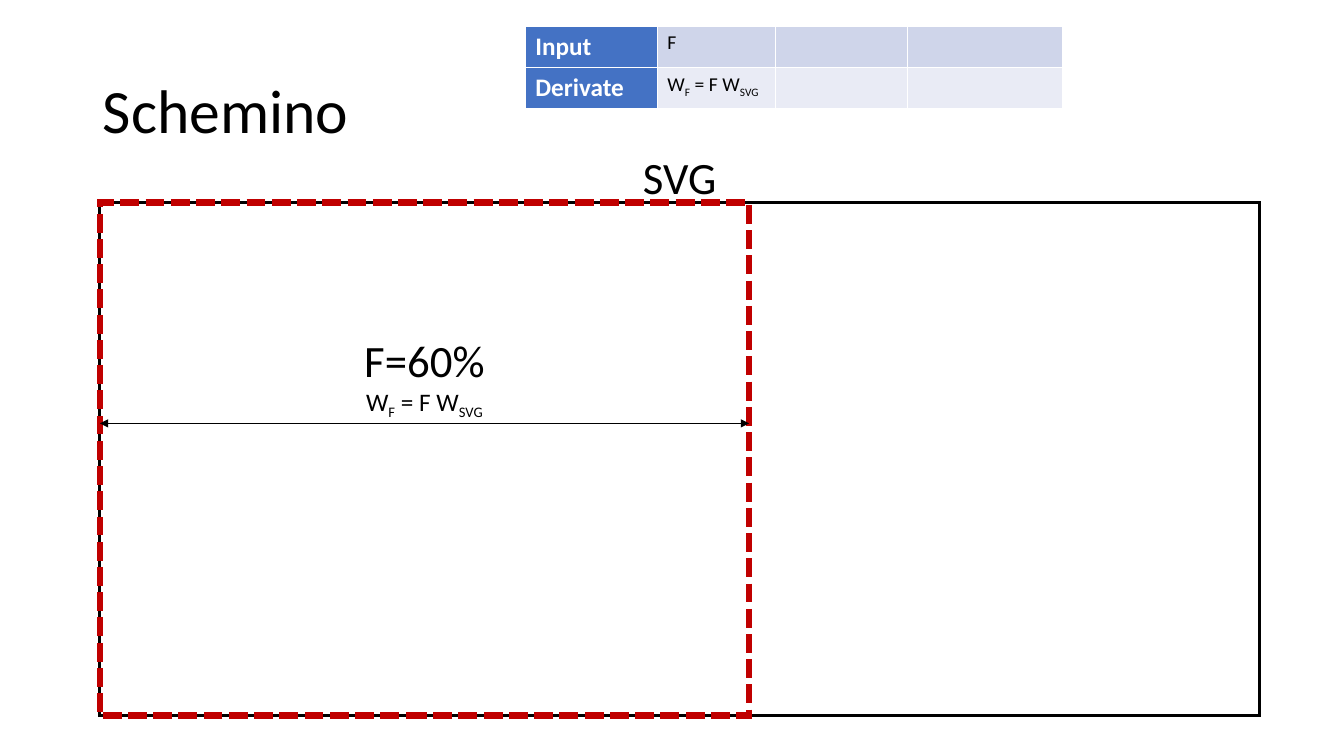
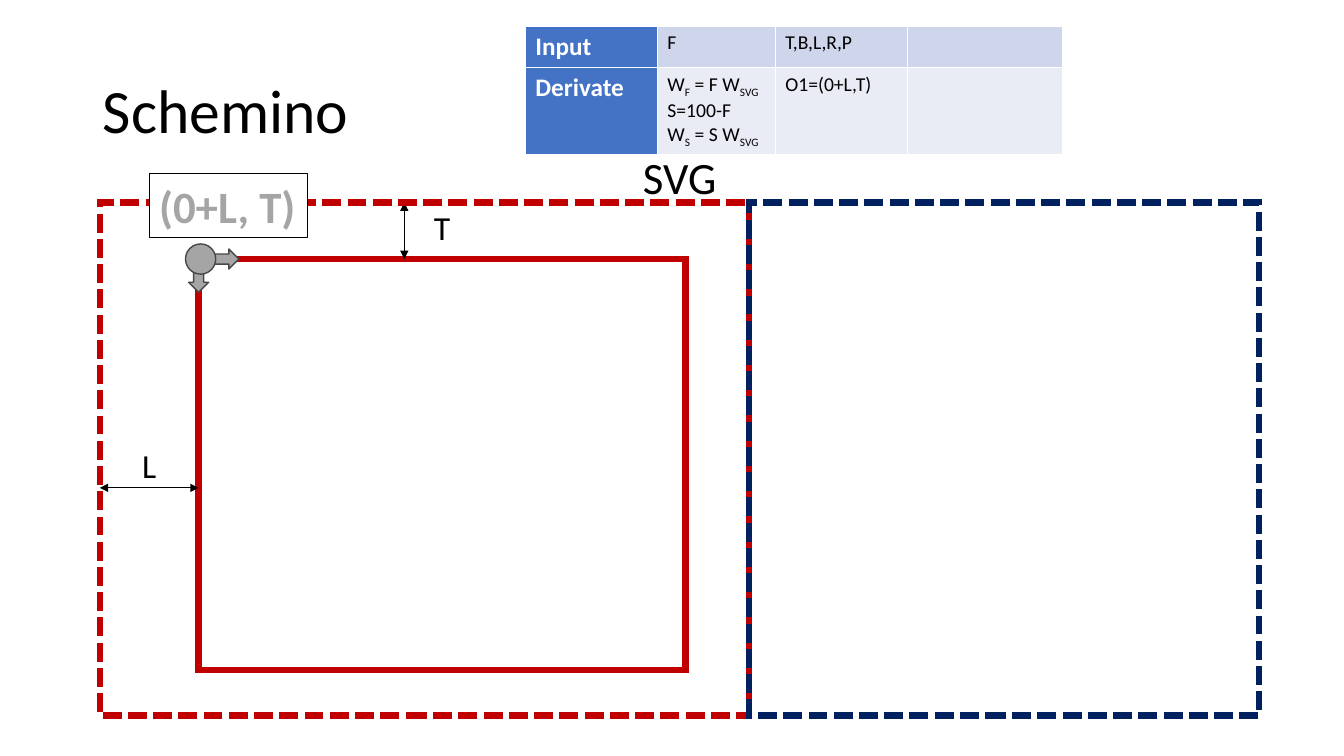
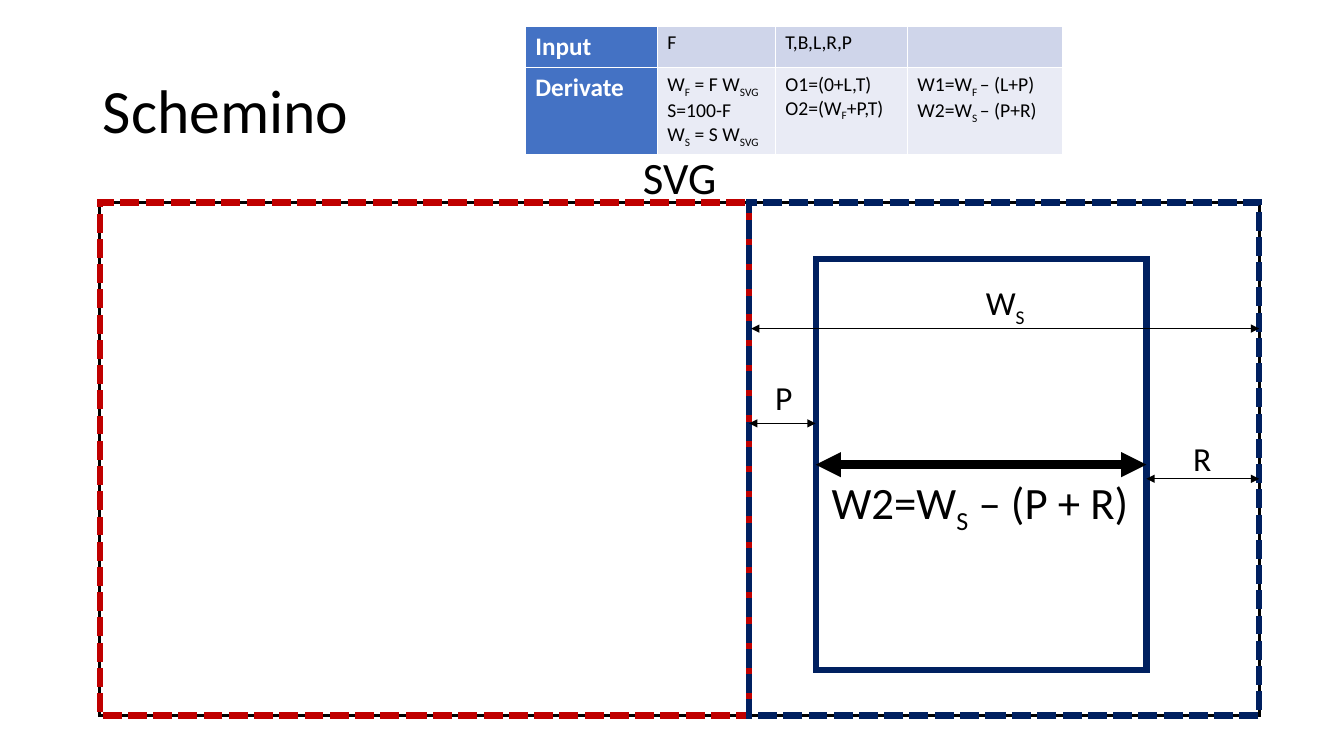
from lxml.etree import SubElement
from pptx import Presentation
from pptx.dml.color import RGBColor
from pptx.enum.dml import MSO_LINE
from pptx.enum.shapes import MSO_CONNECTOR, MSO_SHAPE
from pptx.enum.text import MSO_ANCHOR, MSO_AUTO_SIZE, PP_ALIGN
from pptx.oxml.ns import qn
from pptx.util import Inches, Pt

BLACK = RGBColor(0x00, 0x00, 0x00)
WHITE = RGBColor(0xFF, 0xFF, 0xFF)
RED = RGBColor(0xC0, 0x00, 0x00)
NAVY = RGBColor(0x00, 0x20, 0x60)
GRAY = RGBColor(0xA5, 0xA5, 0xA5)
DARK_GRAY = RGBColor(0x48, 0x48, 0x48)
HEADER_BLUE = RGBColor(0x44, 0x72, 0xC4)
ROW_FILLS = (RGBColor(0xCF, 0xD5, 0xEA), RGBColor(0xE9, 0xEB, 0xF5))

FONT = "Calibri"
TITLE = "Schemino"
LEFT, SPLIT, RIGHT = 0.99, 7.43, 12.49
TOP, HEIGHT = 2.01, 5.09
INNER_TOP, INNER_HEIGHT = 2.57, 4.08
FIRST_LEFT, FIRST_WIDTH = 1.97, 4.83
SECOND_LEFT, SECOND_WIDTH = 8.09, 3.28
SECOND_RIGHT = SECOND_LEFT + SECOND_WIDTH
COLUMN_WIDTHS = (1.31, 1.17, 1.31, 1.54)
ROW_HEIGHT = 0.41

WIDTH_F = "W|F| = F W|SVG|"
WIDTHS = f"{WIDTH_F}\nS=100-F\nW|S| = S W|SVG|"
MARGINS = "T,B,L,R,P"
ORIGIN_1 = "O1=(0+L,T)"
ORIGINS = f"{ORIGIN_1}\nO2=(W|F|+P,T)"
INNER_WIDTHS = "W1=W|F |– (L+P)\nW2=W|S |– (P+R)"


def add_runs(paragraph, text, size, color=BLACK, bold=False):
    """Add text run by run, with the parts between bars as subscripts."""
    for index, part in enumerate(text.split("|")):
        if not part:
            continue
        run = paragraph.add_run()
        run.text = part
        run.font.name = FONT
        run.font.size = Pt(size)
        run.font.bold = bold
        run.font.color.rgb = color
        if index % 2:
            run._r.get_or_add_rPr().set("baseline", "-25000")


def add_lines(frame, lines, color=BLACK, bold=False, align=PP_ALIGN.LEFT):
    """Fill a text frame with one paragraph for each (text, size) pair."""
    for index, (text, size) in enumerate(lines):
        paragraph = frame.add_paragraph() if index else frame.paragraphs[0]
        paragraph.alignment = align
        add_runs(paragraph, text, size, color, bold)


def add_label(slide, left, top, width, height, *lines):
    """Add centred text without a box."""
    box = slide.shapes.add_textbox(Inches(left), Inches(top), Inches(width), Inches(height))
    box.text_frame.word_wrap = True
    add_lines(box.text_frame, lines, align=PP_ALIGN.CENTER)


def add_rectangle(slide, left, top, width, height, color, weight, fill=None, dash=None):
    """Add an outlined rectangle with square corners."""
    shape = slide.shapes.add_shape(
        MSO_SHAPE.RECTANGLE, Inches(left), Inches(top), Inches(width), Inches(height))
    shape.shadow.inherit = False
    if fill is None:
        shape.fill.background()
    else:
        shape.fill.solid()
        shape.fill.fore_color.rgb = fill
    shape.line.color.rgb = color
    shape.line.width = Pt(weight)
    if dash is not None:
        shape.line.dash_style = dash
    SubElement(shape.element.spPr.find(qn("a:ln")), qn("a:miter"), lim="800000")
    return shape


def add_svg_frame(slide):
    """Add the outline of the whole drawing area."""
    add_rectangle(slide, LEFT, TOP, RIGHT - LEFT, HEIGHT, BLACK, 2.25, WHITE)


def add_svg_label(slide):
    """Add the name of the drawing area above it."""
    add_label(slide, LEFT, 1.44, RIGHT - LEFT, 0.64, ("SVG", 32))


def add_first_area(slide):
    """Add the dashed outline of the left area."""
    add_rectangle(slide, LEFT, TOP, SPLIT - LEFT, HEIGHT, RED, 4.5, dash=MSO_LINE.SQUARE_DOT)


def add_second_area(slide):
    """Add the dashed outline of the right area."""
    add_rectangle(slide, SPLIT, TOP, RIGHT - SPLIT, HEIGHT, NAVY, 4.5, dash=MSO_LINE.SQUARE_DOT)


def add_dimension(slide, start, end, weight=0.5):
    """Add a line with an arrowhead at both ends."""
    points = [Inches(value) for value in (*start, *end)]
    connector = slide.shapes.add_connector(MSO_CONNECTOR.STRAIGHT, *points)
    connector.line.color.rgb = BLACK
    connector.line.width = Pt(weight)
    properties = connector.element.spPr
    line = properties.find(qn("a:ln"))
    for tag in ("a:headEnd", "a:tailEnd"):
        SubElement(line, qn(tag), type="triangle")
    SubElement(properties, qn("a:effectLst"))
    return connector


def add_origin_marker(slide):
    """Add the grouped circle and arrows that mark the first origin."""
    group = slide.shapes.add_group_shape()
    parts = (
        (MSO_SHAPE.RIGHT_ARROW, 1.97, 2.47, 0.4, 0.2, 0),
        (MSO_SHAPE.RIGHT_ARROW, 1.77, 2.6, 0.4, 0.2, 90),
        (MSO_SHAPE.OVAL, 1.84, 2.42, 0.3, 0.3, 0),
    )
    for kind, left, top, width, height, rotation in parts:
        shape = group.shapes.add_shape(
            kind, Inches(left), Inches(top), Inches(width), Inches(height))
        shape.rotation = rotation
        shape.shadow.inherit = False
        shape.fill.solid()
        shape.fill.fore_color.rgb = GRAY
        shape.line.color.rgb = DARK_GRAY
        shape.line.width = Pt(1)


def add_origin_label(slide):
    """Add the boxed coordinates of the first origin."""
    box = slide.shapes.add_textbox(Inches(1.48), Inches(1.72), Inches(1.57), Inches(0.64))
    box.text_frame.word_wrap = False
    box.fill.solid()
    box.fill.fore_color.rgb = WHITE
    box.line.color.rgb = BLACK
    box.line.width = Pt(0.75)
    add_lines(box.text_frame, [("(0+L, T)", 32)], GRAY, True)


def format_cell(cell, fill):
    """Give a cell its fill and thin white borders."""
    properties = cell._tc.get_or_add_tcPr()
    for tag in ("a:lnL", "a:lnR", "a:lnT", "a:lnB"):
        border = SubElement(properties, qn(tag), w=str(Pt(1)))
        color = SubElement(SubElement(border, qn("a:solidFill")), qn("a:srgbClr"))
        color.set("val", str(WHITE))
    cell.fill.solid()
    cell.fill.fore_color.rgb = fill


def add_formula_table(slide, inputs, derivates):
    """Add the table of inputs and the values derived from them."""
    rows = (("Input", *inputs), ("Derivate", *derivates))
    table = slide.shapes.add_table(
        len(rows), len(COLUMN_WIDTHS), Inches(5.21), Inches(0.26),
        Inches(sum(COLUMN_WIDTHS)), Inches(ROW_HEIGHT * len(rows))).table
    table.first_row = False
    table.horz_banding = False
    for column, width in zip(table.columns, COLUMN_WIDTHS):
        column.width = Inches(width)
    for row, texts, row_fill in zip(table.rows, rows, ROW_FILLS):
        row.height = Inches(ROW_HEIGHT)
        for index, (cell, text) in enumerate(zip(row.cells, texts)):
            is_header = index == 0
            format_cell(cell, HEADER_BLUE if is_header else row_fill)
            size, color = (18, WHITE) if is_header else (14, BLACK)
            lines = [(line, size) for line in text.split("\n")]
            add_lines(cell.text_frame, lines, color, is_header)


def add_titled_slide(presentation):
    """Add a slide with the shared title."""
    slide = presentation.slides.add_slide(presentation.slide_layouts[5])
    title = slide.shapes.title
    title.left, title.top = Inches(0.92), Inches(0.4)
    title.width, title.height = Inches(11.5), Inches(1.45)
    frame = title.text_frame
    frame.auto_size = MSO_AUTO_SIZE.NONE
    frame.vertical_anchor = MSO_ANCHOR.MIDDLE
    add_lines(frame, [(TITLE, 44)])
    frame.paragraphs[0].line_spacing = 0.9
    return slide


def build_fraction_slide(presentation):
    """Show the fraction taken by the left area."""
    slide = add_titled_slide(presentation)
    add_svg_frame(slide)
    add_svg_label(slide)
    add_label(slide, LEFT, 3.25, SPLIT - LEFT, 0.94, ("F=60%", 32), (WIDTH_F, 18))
    add_first_area(slide)
    add_dimension(slide, (LEFT, 4.2), (SPLIT, 4.2))
    add_formula_table(slide, ("F", "", ""), (WIDTH_F, "", ""))


def build_origin_slide(presentation):
    """Show the origin of the left inner rectangle."""
    slide = add_titled_slide(presentation)
    add_svg_label(slide)
    add_rectangle(slide, FIRST_LEFT, INNER_TOP, FIRST_WIDTH, INNER_HEIGHT, RED, 4.5, WHITE)
    add_label(slide, FIRST_LEFT, 2, FIRST_WIDTH, 0.5, ("T", 24))
    add_dimension(slide, (4.01, TOP), (4.01, INNER_TOP))
    add_label(slide, LEFT, 4.36, FIRST_LEFT - LEFT, 0.5, ("L", 24))
    add_dimension(slide, (LEFT, 4.84), (FIRST_LEFT, 4.84))
    add_origin_marker(slide)
    add_first_area(slide)
    add_second_area(slide)
    add_origin_label(slide)
    add_formula_table(slide, ("F", MARGINS, ""), (WIDTHS, ORIGIN_1, ""))


def build_width_slide(presentation):
    """Show the width of the right inner rectangle."""
    slide = add_titled_slide(presentation)
    add_svg_frame(slide)
    add_svg_label(slide)
    add_first_area(slide)
    add_second_area(slide)
    inner = add_rectangle(
        slide, SECOND_LEFT, INNER_TOP, SECOND_WIDTH, INNER_HEIGHT, NAVY, 4.5, WHITE)
    add_label(slide, 7.46, 3.69, 0.63, 0.5, ("P", 24))
    add_dimension(slide, (SPLIT, 4.2), (SECOND_LEFT, 4.2))
    middle = INNER_TOP + INNER_HEIGHT / 2
    width_arrow = add_dimension(slide, (SECOND_LEFT, middle), (SECOND_RIGHT, middle), 6)
    width_arrow.begin_connect(inner, 1)
    width_arrow.end_connect(inner, 3)
    add_dimension(slide, (7.45, 3.26), (RIGHT, 3.26))
    add_label(slide, 7.45, 2.75, 5.04, 0.5, ("W|S|", 24))
    add_dimension(slide, (SECOND_RIGHT, 4.75), (RIGHT, 4.75))
    add_label(slide, 11.32, 4.3, 1.21, 0.5, ("R", 24))
    add_label(slide, SECOND_LEFT, 4.66, 3.26, 0.64, ("W2=W|S| – (P + R)", 32))
    add_formula_table(slide, ("F", MARGINS, ""), (WIDTHS, ORIGINS, INNER_WIDTHS))


def main():
    """Build and save the presentation."""
    presentation = Presentation()
    presentation.slide_width = Inches(13.33)
    presentation.slide_height = Inches(7.5)
    build_fraction_slide(presentation)
    build_origin_slide(presentation)
    build_width_slide(presentation)
    presentation.save("out.pptx")


if __name__ == "__main__":
    main()
